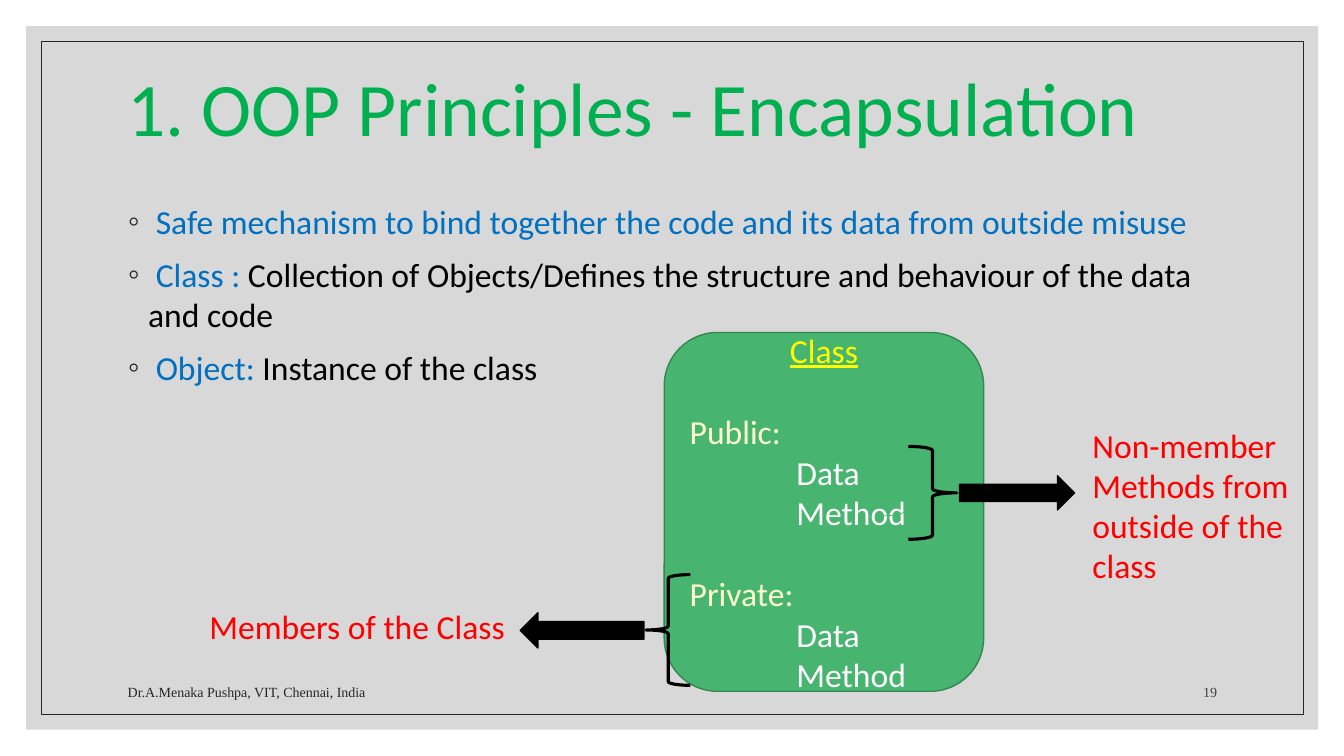
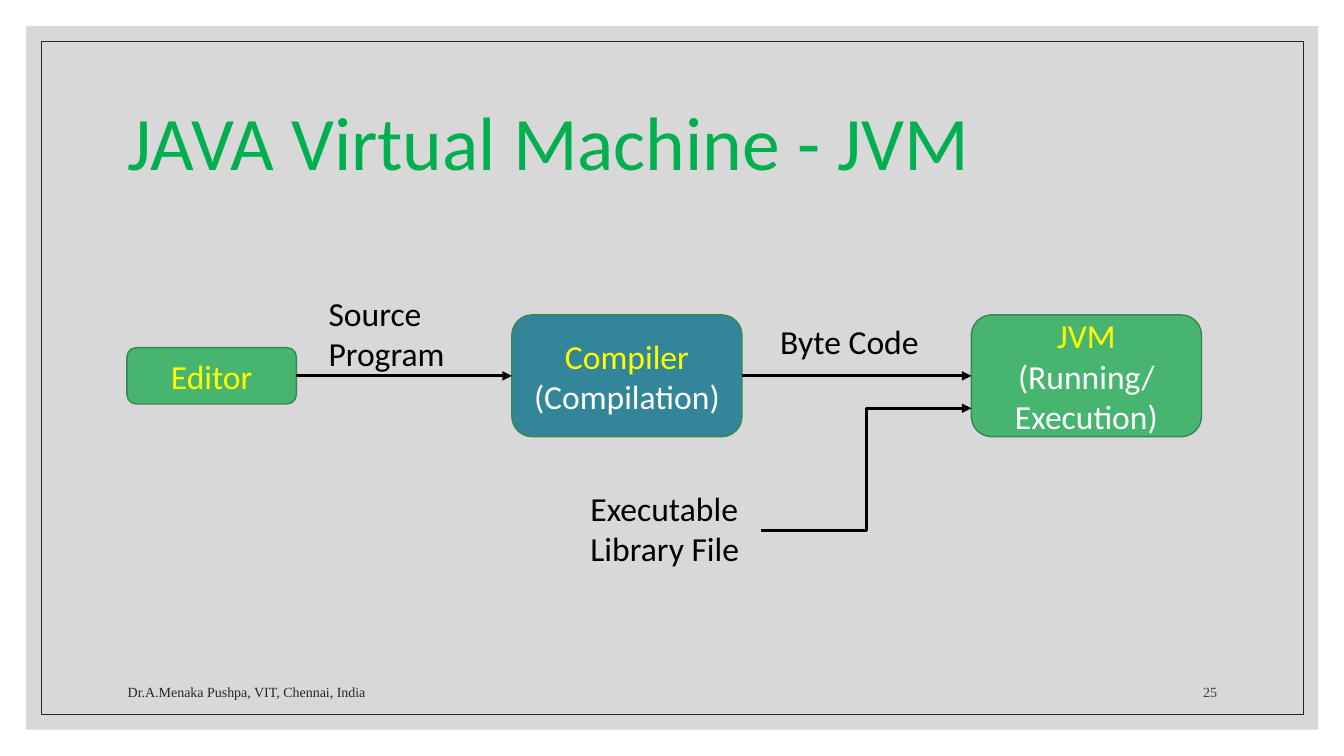
from pptx import Presentation
from pptx.dml.color import RGBColor as Rgb
from pptx.enum.shapes import MSO_CONNECTOR as Link, MSO_SHAPE as Kind
from pptx.enum.text import MSO_ANCHOR as Anchor, MSO_AUTO_SIZE as Fit, PP_ALIGN as Align
from pptx.oxml.ns import qn
from pptx.util import Cm, Pt
from lxml.etree import SubElement as Sub

HUES = dict(
    band="BFBFBF", frame="262626", page="404040", title="00B050",
    blue="0070C0", black="000000", white="FFFFFF", yellow="FFFF00",
    cream="FFFFCC", red="FF0000", green="47B56F", edge="358652", teal="338599",
)
TITLE = dict(size=Pt(54), name="Calibri")
TEXT = dict(size=Pt(24), name="Calibri")
SMALL = dict(size=Pt(10), name="Times New Roman")
LEFT = dict(alignment=Align.LEFT)
MID = dict(alignment=Align.CENTER)
RIGHT = dict(alignment=Align.RIGHT)
GAP = dict(LEFT, space_before=Pt(29.3))
FOOT = "Dr.A.Menaka Pushpa, VIT, Chennai, India"


def put(item, vals):
    for key, val in vals.items():
        setattr(item, key, val)


def hue(name):
    return Rgb.from_string(HUES[name])


def place(item, box):
    put(item, dict(zip(("left", "top", "width", "height"), map(Cm, box))))


class Deck:
    def __init__(self):
        self.prs = Presentation()
        put(self.prs, dict(slide_width=Cm(33.87), slide_height=Cm(19.05)))
        self.slide = None

    def start(self, layout, title, box, page):
        first = self.slide is None
        self.slide = self.prs.slides.add_slide(self.prs.slide_layouts[layout])
        if first:
            self.frame()
        head = self.slide.shapes.title
        place(head, box)
        look = dict(LEFT, line_spacing=0.9)
        self.say(head, [([(title, "title")], look)], TITLE, Anchor.MIDDLE)
        self.label((2.97, 16.76, 16.15, 1.02), FOOT, "frame", SMALL, Anchor.BOTTOM)
        self.label((28.58, 16.76, 2.34, 1.02), page, "page", SMALL, Anchor.BOTTOM, RIGHT)

    def frame(self):
        band = self.shape(Kind.RECTANGLE, (0.66, 0.66, 32.56, 17.73), "band")
        tint = band.element.spPr.find(qn("a:solidFill"))[0]
        Sub(tint, qn("a:alpha"), val="60000")
        rim = self.shape(Kind.RECTANGLE, (1.04, 1.04, 31.8, 16.97), None, "frame", 0.5)
        tree = self.prs.slide_master.shapes.element
        for spot, part in enumerate((band, rim), 2):
            tree.insert(spot, part.element)

    def say(self, item, paras, font=TEXT, anchor=Anchor.TOP):
        body = item.text_frame
        put(body, dict(word_wrap=True, auto_size=Fit.NONE, vertical_anchor=anchor))
        for num, (runs, look) in enumerate(paras):
            para = body.add_paragraph() if num else body.paragraphs[0]
            put(para, look)
            for text, tone in runs:
                run = para.add_run()
                run.text = text
                put(run.font, font)
                run.font.color.rgb = hue(tone)
        return body.paragraphs

    def label(self, box, text, tone="black", font=TEXT, anchor=Anchor.TOP, look=LEFT):
        item = self.slide.shapes.add_textbox(*map(Cm, box))
        self.say(item, [([(text, tone)], look)], font, anchor)

    def list(self, box, rows):
        item = self.slide.placeholders[1]
        place(item, box)
        paras = []
        for num, runs in enumerate(rows):
            paras.append((runs, dict(LEFT, space_before=Pt(9 if num else 0))))
        for para in self.say(item, paras):
            self.indent(para, 0.51, -0.51)
            props = para._p.get_or_add_pPr()
            Sub(Sub(props, qn("a:buClr")), qn("a:srgbClr"), val=HUES["frame"])
            Sub(props, qn("a:buChar"), char="◦")

    def indent(self, para, left, first=0):
        props = para._p.get_or_add_pPr()
        props.set("marL", str(Cm(left)))
        props.set("indent", str(Cm(first)))

    def shape(self, kind, box, fill=None, line=None, width=1):
        item = self.slide.shapes.add_shape(kind, *map(Cm, box))
        item.shadow.inherit = False
        if fill:
            item.fill.solid()
            item.fill.fore_color.rgb = hue(fill)
        else:
            item.fill.background()
        if line:
            self.stroke(item, line, width)
        else:
            item.line.fill.background()
        return item

    def stroke(self, item, tone, width):
        item.line.color.rgb = hue(tone)
        item.line.width = Pt(width)

    def block(self, box, paras, fill="green"):
        item = self.shape(Kind.ROUNDED_RECTANGLE, box, fill, "edge")
        return self.say(item, paras, anchor=Anchor.MIDDLE)

    def arrow(self, start, end, kind=Link.STRAIGHT):
        item = self.slide.shapes.add_connector(kind, *map(Cm, start + end))
        self.stroke(item, "black", 2.25)
        props = item.element.spPr
        Sub(props.find(qn("a:ln")), qn("a:tailEnd"), type="triangle")
        Sub(props, qn("a:effectLst"))


def capsule(deck):
    deck.start(1, "1. OOP Principles - Encapsulation", (2.95, 1.37, 27.94, 2.9), "19")
    deck.list((2.97, 4.93, 27.94, 11.61), [
        [(" Safe mechanism to bind together the code and its data from outside misuse", "blue")],
        [(" Class : ", "blue"),
         ("Collection of Objects/Defines the structure and behaviour of the data and code", "black")],
        [(" Object:", "blue"), (" Instance of the class", "black")],
    ])
    paras = [([("Class", "yellow")], MID)]
    for group in ("Public:", "Private:"):
        paras.append(([(group, "cream")], GAP))
        paras += [([(name, "white")], LEFT) for name in ("Data", "Method")]
    rows = deck.block((16.74, 8.38, 8.05, 9.04), paras)
    rows[0].runs[0].font.underline = True
    for num in (2, 3, 5, 6):
        deck.indent(rows[num], 2.69)
    for kind, box, tone, width in (
        (Kind.RIGHT_BRACE, (22.17, 11.15, 1.22, 1.85), "green", 0.5),
        (Kind.RIGHT_BRACE, (22.89, 11.25, 1.22, 2.34), "black", 2.25),
        (Kind.LEFT_BRACE, (16.28, 14.48, 1.12, 2.79), "black", 2.25),
    ):
        deck.shape(kind, box, None, tone, width)
    deck.shape(Kind.RIGHT_ARROW, (24.18, 11.99, 2.9, 0.86), "black", "black")
    deck.shape(Kind.LEFT_ARROW, (13.11, 15.44, 3.12, 0.89), "black", "black")
    deck.label((27.28, 10.57, 5.51, 4.37), "Non-member Methods from outside of the class", "red")
    deck.label((5.03, 15.14, 8.05, 1.27), "Members of the Class", "red")


def machine(deck):
    deck.start(5, "JAVA Virtual Machine - JVM", (2.97, 1.78, 27.94, 3.81), "25")
    mid = 9.47
    steps = [
        (3.2, 4.27, 1.42, "green", "Editor", None),
        (12.9, 5.8, 3.07, "teal", "Compiler", "(Compilation)"),
        (24.48, 5.8, 3.07, "green", "JVM", "(Running/ Execution)"),
    ]
    for left, wide, high, fill, name, note in steps:
        paras = [([(name, "yellow")], MID)]
        if note:
            paras.append(([(note, "white")], MID))
        deck.block((left, mid - high / 2, wide, high), paras, fill)
    for here, there in zip(steps, steps[1:]):
        deck.arrow((here[0] + here[1], mid), (there[0], mid))
    deck.label((8.03, 7.26, 4.98, 2.31), "Source Program")
    deck.label((19.41, 7.95, 4.55, 1.27), "Byte Code")
    deck.arrow((19.18, 13.36), (24.48, 10.29), Link.ELBOW)
    deck.label((14.63, 12.17, 5.28, 2.31), "Executable Library File")


def main():
    deck = Deck()
    capsule(deck)
    machine(deck)
    deck.prs.save("out.pptx")


if __name__ == "__main__":
    main()
